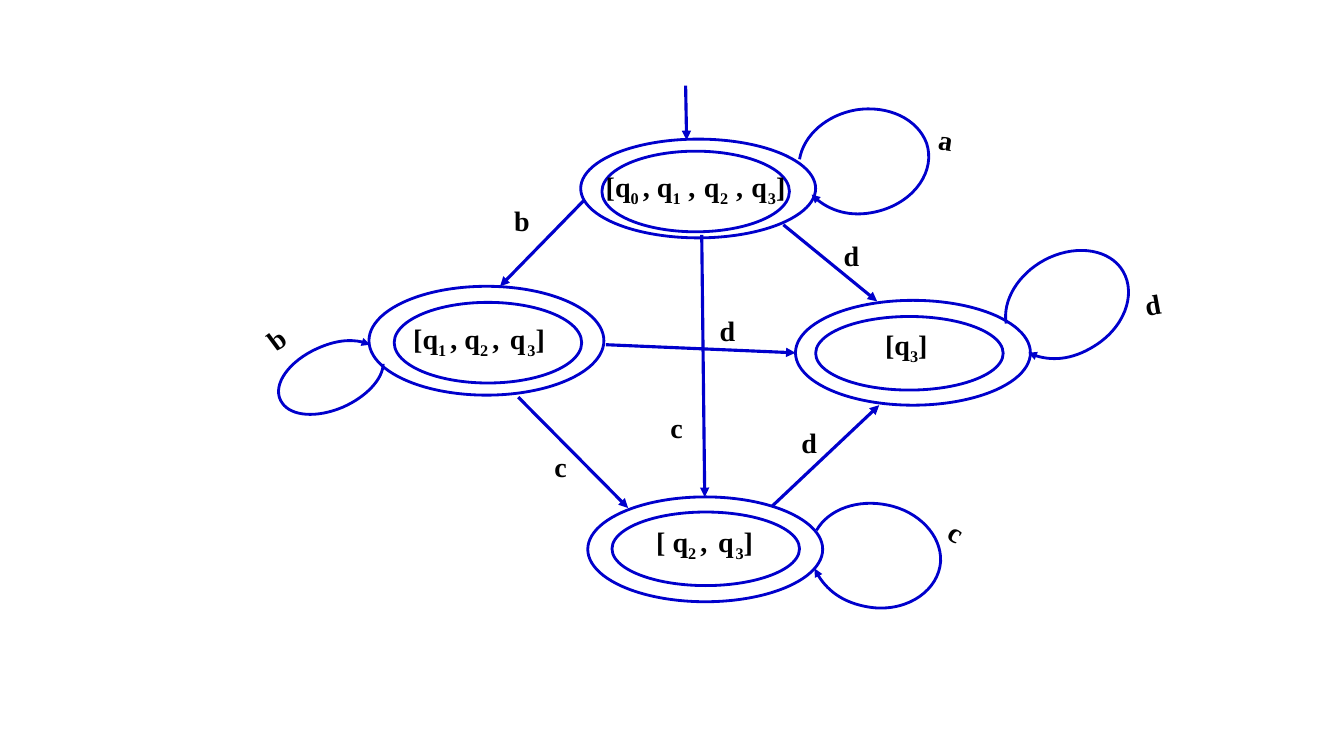
from dataclasses import dataclass

from lxml.etree import SubElement
from pptx import Presentation
from pptx.dml.color import RGBColor
from pptx.enum.shapes import MSO_CONNECTOR, MSO_SHAPE
from pptx.oxml.ns import qn
from pptx.util import Inches, Pt

COLORS = {"line": "0000CC", "text": "000000"}
FONT = "Times New Roman"
STATE_WIDTH, INNER_WIDTH, LETTER_SIZE = 2.33, 1.86, 0.37


@dataclass
class State:
    """Outer ellipse at left, top; all other places are offsets from it."""
    left: float
    top: float
    height: float
    inner: tuple         # left, top, height of the inner ellipse
    name_box: tuple
    name: list           # normal and subscript pieces in turn
    spread: tuple        # first piece with wider letters, spacing in 1/100 pt
    loop: list           # start point, then Bezier control points
    letter: tuple        # loop label: text, left, top, rotation


STATES = [
    State(5.76, 1.38, 0.98, (0.21, 0.12, 0.8), (0.15, 0.25, 2.04, 0.62),
          ["[q", "0 ", ", q", "1", " , q", "2", " , q", "3", "]"], (4, 50),
          [(2.17, 0.2), (2.21, -0.04), (2.44, -0.24), (2.73, -0.29),
           (3.05, -0.34), (3.34, -0.2), (3.43, 0.04),
           (3.52, 0.31), (3.32, 0.61), (2.97, 0.71),
           (2.72, 0.78), (2.45, 0.72), (2.29, 0.55)],
          ("a", 3.46, -0.21, 9)),
    State(3.66, 2.84, 1.08, (0.25, 0.16, 0.8), (0.34, 0.3, 1.65, 0.54),
          ["[q", "1 ", ", q", "2 ", ", q", "3", "]"], (4, 130),
          [(0.14, 0.77), (0.14, 0.92), (-0.03, 1.1), (-0.26, 1.2),
           (-0.52, 1.31), (-0.77, 1.29), (-0.86, 1.16),
           (-0.97, 1.01), (-0.83, 0.78), (-0.56, 0.64),
           (-0.36, 0.54), (-0.13, 0.51), (0.01, 0.58)],
          ("b", -1.12, 0.31, -36.7)),
    State(7.89, 2.98, 1.04, (0.2, 0.16, 0.73), (0.79, 0.22, 0.91, 0.54),
          ["[q", "3", "]"], (0, 0),
          [(2.09, 0.23), (2.05, 0), (2.21, -0.26), (2.47, -0.4),
           (2.75, -0.55), (3.07, -0.52), (3.22, -0.33),
           (3.39, -0.11), (3.29, 0.23), (3, 0.43),
           (2.78, 0.58), (2.51, 0.62), (2.31, 0.52)],
          ("d", 3.36, -0.18, -10.1)),
    State(5.83, 4.93, 1.04, (0.24, 0.15, 0.73), (0.58, 0.22, 1.65, 0.54),
          ["[ q", "2 ", ", q", "3", "]"], (2, 130),
          [(2.27, 0.33), (2.39, 0.12), (2.68, 0.02), (2.97, 0.08),
           (3.28, 0.14), (3.51, 0.38), (3.5, 0.64),
           (3.48, 0.92), (3.19, 1.13), (2.84, 1.1),
           (2.57, 1.07), (2.34, 0.92), (2.25, 0.71)],
          ("c", 3.51, 0.15, 30.1)),
]

# Start, end, letter, place of the letter
TRANSITIONS = [
    ((6.8, 0.85), (6.81, 1.39), None, None),
    ((5.79, 1.99), (4.96, 2.84), "b", (5, 1.97)),
    ((7.77, 2.23), (8.7, 2.99), "d", (8.27, 2.32)),
    ((6.01, 3.42), (7.89, 3.5), "d", (7.04, 3.06)),
    ((6.96, 2.33), (6.99, 4.93), "c", (6.55, 4.02)),
    ((5.14, 3.94), (6.23, 5.04), "c", (5.4, 4.41)),
    ((7.66, 5.02), (8.72, 4.02), "d", (7.85, 4.17)),
]


def style_line(line, width, arrow=False):
    line.color.rgb = RGBColor.from_string(COLORS["line"])
    line.width = Pt(width)
    if arrow:
        SubElement(line._get_or_add_ln(), qn("a:tailEnd"), type="triangle")


def add_ellipse(slide, *box):
    ellipse = slide.shapes.add_shape(MSO_SHAPE.OVAL, *map(Inches, box))
    ellipse.shadow.inherit = False
    ellipse.fill.background()
    style_line(ellipse.line, 2)


def add_label(slide, box, pieces, spread=(0, 0), rotation=0):
    label = slide.shapes.add_textbox(*map(Inches, box))
    label.rotation = rotation
    label.text_frame.word_wrap = True
    paragraph = label.text_frame.paragraphs[0]
    paragraph.space_after = Pt(10)
    spread_from, spacing = spread
    for index, piece in enumerate(pieces):
        run = paragraph.add_run()
        run.text = piece
        run.font.name = FONT
        run.font.size = Pt(20)
        run.font.bold = True
        run.font.color.rgb = RGBColor.from_string(COLORS["text"])
        properties = run._r.get_or_add_rPr()
        if index % 2:
            properties.set("baseline", "-25000")
        elif index >= spread_from and "," in piece:
            properties.set("spc", str(spacing))


def add_loop(slide, points):
    start, *controls = [(Inches(x), Inches(y)) for x, y in points]
    builder = slide.shapes.build_freeform(*start)
    builder.add_line_segments(controls, close=False)
    loop = builder.convert_to_shape()
    loop.shadow.inherit = False
    loop.fill.background()
    style_line(loop.line, 2, arrow=True)
    # Every three straight segments become one Bezier curve
    outline = next(loop.element.iter(qn("a:path")))
    segments = outline.findall(qn("a:lnTo"))
    for first in range(0, len(segments), 3):
        curve = SubElement(outline, qn("a:cubicBezTo"))
        for segment in segments[first:first + 3]:
            curve.append(segment[0])
            outline.remove(segment)


def add_state(slide, state):
    left, top = state.left, state.top
    add_ellipse(slide, left, top, STATE_WIDTH, state.height)
    dx, dy, inner_height = state.inner
    add_ellipse(slide, left + dx, top + dy, INNER_WIDTH, inner_height)
    dx, dy, width, height = state.name_box
    add_label(slide, (left + dx, top + dy, width, height),
              state.name, state.spread)
    add_loop(slide, [(left + x, top + y) for x, y in state.loop])
    letter, dx, dy, rotation = state.letter
    add_label(slide, (left + dx, top + dy, LETTER_SIZE, LETTER_SIZE),
              [letter], rotation=rotation)


def add_transition(slide, start, end, letter, place):
    arrow = slide.shapes.add_connector(
        MSO_CONNECTOR.STRAIGHT, *map(Inches, start + end))
    style_line(arrow.line, 2.25, arrow=True)
    SubElement(arrow.element.spPr, qn("a:effectLst"))
    if letter:
        add_label(slide, (*place, LETTER_SIZE, LETTER_SIZE), [letter])


def main():
    presentation = Presentation()
    presentation.slide_width = Inches(13.33)
    presentation.slide_height = Inches(7.5)
    slide = presentation.slides.add_slide(presentation.slide_layouts[6])
    for state in STATES:
        add_state(slide, state)
    for transition in TRANSITIONS:
        add_transition(slide, *transition)
    presentation.save("out.pptx")


if __name__ == "__main__":
    main()
